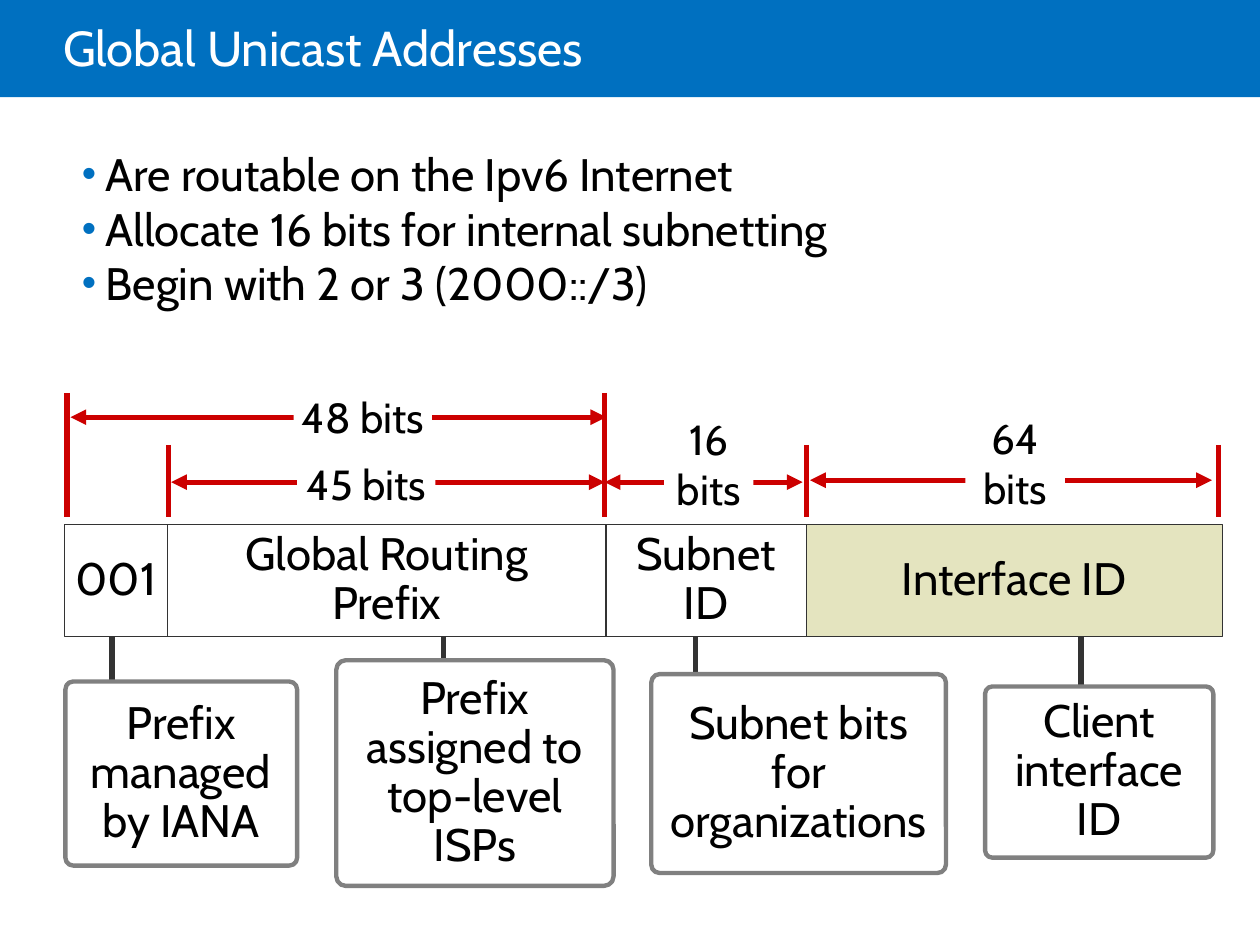
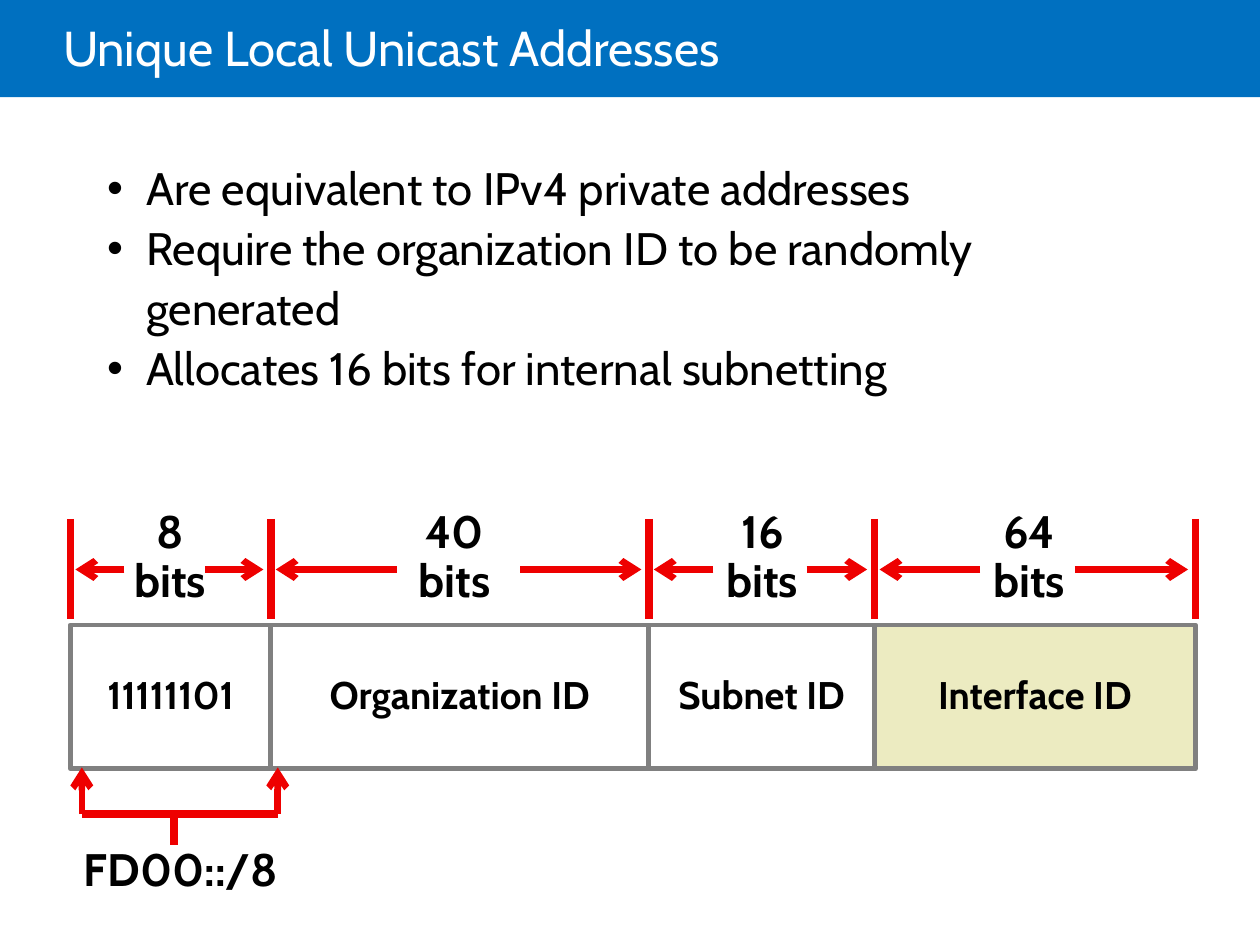
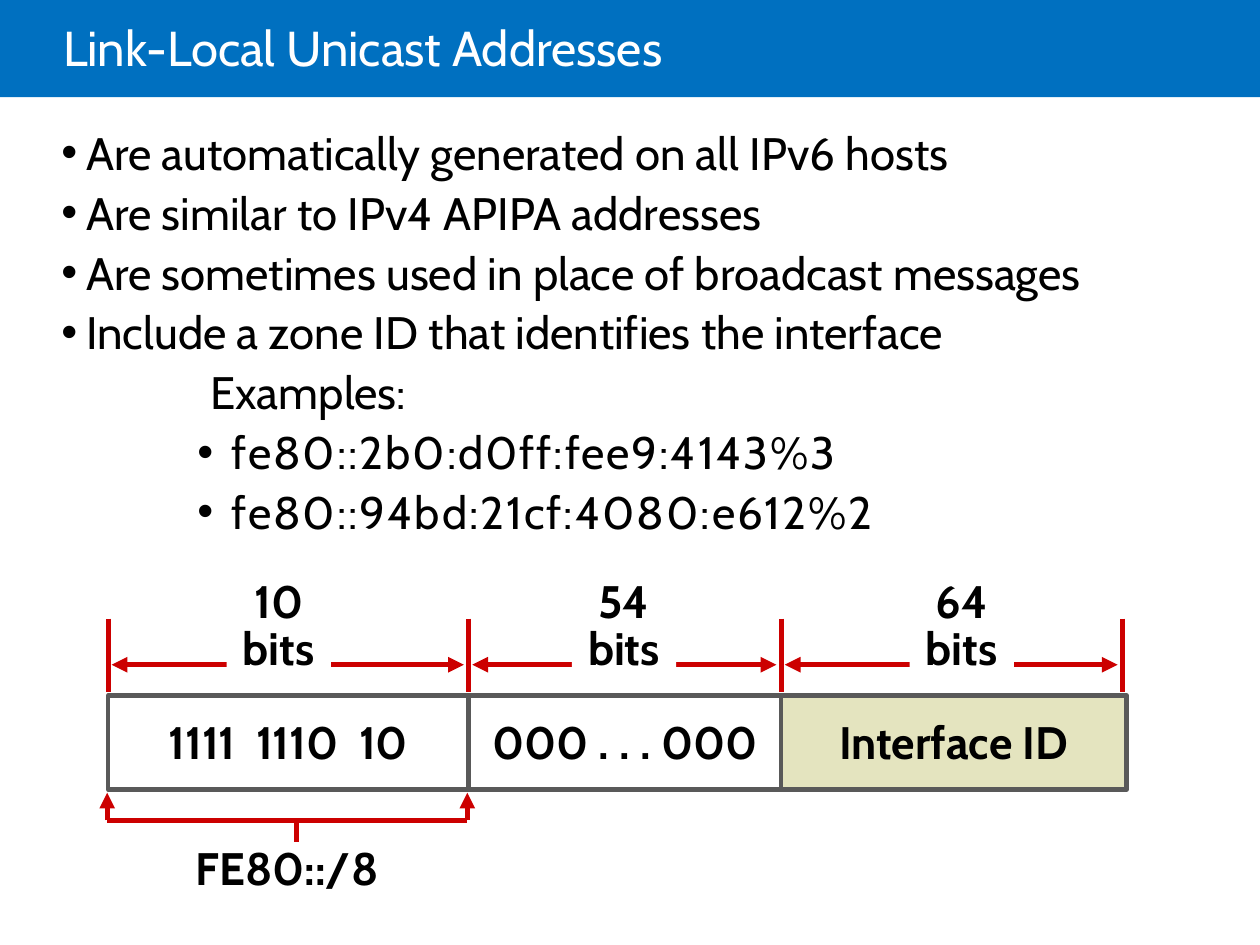
"""Build three slides on IPv6 unicast address formats."""
from collections import namedtuple
from itertools import pairwise

from lxml import etree
from pptx import Presentation, util as u
from pptx.dml.color import RGBColor
from pptx.enum import shapes, text
from pptx.oxml.ns import qn

Box = namedtuple("Box", "left top width height")
Pen = namedtuple("Pen", "colour weight arrow")
Measure = namedtuple("Measure", "start end level label words gap", defaults=[None])

FONT = "Cabin"
BLUE, BLACK, WHITE = "0070C0", "000000", "FFFFFF"
DARK, MID, FRAME = "333333", "808080", "595959"
OLIVE, CREAM = "E4E4BF", "ECEBC1"
RED_PEN = Pen("CC0000", 3, "triangle")
BRIGHT_TICK = Pen("EE0000", 4.25, None)
BRIGHT_PEN = Pen("EE0000", 3.75, "arrow")
LEADER_PEN = Pen(DARK, 3, None)
CENTRE, LEFT = text.PP_ALIGN.CENTER, text.PP_ALIGN.LEFT
TOP, MIDDLE = text.MSO_ANCHOR.TOP, text.MSO_ANCHOR.MIDDLE


def colour(value):
    """Turn a hex string into a colour."""
    return RGBColor.from_string(value)


def lengths(box):
    """Give the four sides of a box as lengths."""
    return [u.Cm(side) for side in box]


def inside(box, part):
    """Place a part given relative to the corner of a box."""
    return Box(box.left + part.left, box.top + part.top, part.width, part.height)


def add_bullet(para, tint, percent):
    """Give a paragraph a round bullet."""
    props = para._p.get_or_add_pPr()
    if tint:
        holder = etree.SubElement(props, qn("a:buClr"))
        etree.SubElement(holder, qn("a:srgbClr"), val=tint)
    etree.SubElement(props, qn("a:buSzPct"), val=str(percent * 1000))
    etree.SubElement(props, qn("a:buFont"), typeface="Arial")
    etree.SubElement(props, qn("a:buChar"), char="•")


def write_para(para, words, *, size=26, bold=False, tint=BLACK, align=CENTRE, spacing=1.0,
               before=0, margin=0, indent=0, bullet=False, bullet_tint=None,
               bullet_percent=100, tracking=0):
    """Write one formatted paragraph."""
    para.text = words
    if margin:
        props = para._p.get_or_add_pPr()
        props.set("marL", str(u.Cm(margin)))
        props.set("indent", str(u.Cm(indent)))
    if bullet:
        add_bullet(para, bullet_tint, bullet_percent)
    para.alignment, para.line_spacing = align, spacing
    para.space_before = u.Pt(before)
    for span in para.runs:
        span.font.name, span.font.size, span.font.bold = FONT, u.Pt(size), bold
        span.font.color.rgb = colour(tint)
        if tracking:
            span._r.get_or_add_rPr().set("spc", str(tracking))


def write(shape, lines, *, anchor=MIDDLE, inset=(0, 0, 0, 0), **style):
    """Fill a shape with paragraphs, each a string or a string with its own format."""
    frame = shape.text_frame
    frame.word_wrap, frame.vertical_anchor = True, anchor
    frame.auto_size = text.MSO_AUTO_SIZE.NONE
    (frame.margin_left, frame.margin_top,
     frame.margin_right, frame.margin_bottom) = lengths(inset)
    for number, line in enumerate([lines] if isinstance(lines, str) else lines):
        words, own = (line, {}) if isinstance(line, str) else line
        para = frame.add_paragraph() if number else frame.paragraphs[0]
        look = style | own
        if not number:
            look["before"] = 0
        write_para(para, words, **look)


def add_text(page, box, lines, **style):
    """Add a text box."""
    shape = page.shapes.add_textbox(*lengths(box))
    write(shape, lines, **style)


def add_panel(page, box, *, fill=None, edge=None, weight=1, radius=None):
    """Add a plain or rounded rectangle."""
    kind = shapes.MSO_SHAPE.RECTANGLE if radius is None else shapes.MSO_SHAPE.ROUNDED_RECTANGLE
    panel = page.shapes.add_shape(kind, *lengths(box))
    panel.shadow.inherit = False
    if radius is not None:
        panel.adjustments[0] = radius
    if fill:
        panel.fill.solid()
        panel.fill.fore_color.rgb = colour(fill)
    else:
        panel.fill.background()
    if edge:
        panel.line.color.rgb = colour(edge)
        panel.line.width = u.Pt(weight)
    else:
        panel.line.fill.background()
    return panel


def add_line(page, start, end, pen, heads=()):
    """Add a straight line with arrowheads at the named ends."""
    line = page.shapes.add_connector(shapes.MSO_CONNECTOR.STRAIGHT, *lengths(start + end))
    line.line.color.rgb = colour(pen.colour)
    line.line.width = u.Pt(pen.weight)
    etree.SubElement(line._element.spPr, qn("a:effectLst"))
    outline = line.line._get_or_add_ln()
    for end_name in heads:
        etree.SubElement(outline, qn(f"a:{end_name}"), type=pen.arrow)


def add_page(deck, title):
    """Add a slide with the blue band and its title."""
    page = deck.slides.add_slide(deck.slide_layouts[5])
    band = add_panel(page, Box(0, 0, 25.4, 1.96), fill=BLUE)
    page.shapes._spTree.insert(2, band._element)
    heading = page.shapes.title
    heading.left, heading.top, heading.width, heading.height = lengths(Box(1.27, 0, 21.59, 2.06))
    write(heading, title, size=28, tint=WHITE, align=LEFT, spacing=0.85,
          inset=(0, 0.13, 0.25, 0.13))
    return page


def draw_fields(page, box, edges, labels, *, fill, edge, weight, **style):
    """Draw adjoining address fields, the last one filled."""
    for (start, end), label in zip(pairwise(edges), labels):
        part = Box(start, 0, end - start, box.height)
        last = end == edges[-1]
        panel = add_panel(page, inside(box, part), fill=fill if last else None,
                          edge=edge, weight=weight)
        write(panel, label, spacing=0.9, **style)


def draw_ruler(page, box, ticks, measures, *, tick_pen, pen, tall=(), rise=0,
               mask=None, **style):
    """Draw ticks and labelled double arrows that measure the fields below."""
    for measure in measures:
        start, end = box.left + measure.start, box.left + measure.end
        level = box.top + measure.level
        if measure.gap:
            for near, far in zip(measure.gap, (start, end)):
                add_line(page, (box.left + near, level), (far, level), pen, ["tailEnd"])
        else:
            add_line(page, (start, level), (end, level), pen, ["headEnd", "tailEnd"])
    for tick in ticks:
        top = box.top - (rise if tick in tall else 0)
        add_line(page, (box.left + tick, top), (box.left + tick, box.top + box.height), tick_pen)
    for measure in measures:
        label = add_panel(page, inside(box, measure.label), fill=mask)
        write(label, measure.words, anchor=TOP, **style)


def draw_bracket(page, box, stem, drop, bar_pen, pen, label, words, **style):
    """Draw a bracket with two upward arrows, a stem and a label."""
    right, base = box.left + box.width, box.top + box.height
    add_line(page, (box.left, base), (right, base), bar_pen)
    for side in (box.left, right):
        add_line(page, (side, base), (side, box.top), pen, ["tailEnd"])
    add_line(page, (box.left + stem, base), (box.left + stem, base + drop), bar_pen)
    add_text(page, inside(box, label), words, bold=True, **style)


def draw_callout(page, box, leader, field_base, words):
    """Draw a rounded note and the leader that ties it to its field."""
    add_line(page, (box.left + leader, field_base), (box.left + leader, box.top), LEADER_PEN)
    note = add_panel(page, box, fill=WHITE, edge=MID, weight=2.5, radius=0.042)
    write(note, words, spacing=0.9, inset=(0.2, 0.1, 0.2, 0.1))


def build_global(deck):
    """Build the slide on global unicast addresses."""
    page = add_page(deck, "Global Unicast Addresses")
    add_text(page, Box(1.65, 2.95, 19.81, 4.62),
             ["Are routable on the Ipv6 Internet",
              "Allocate 16 bits for internal subnetting",
              "Begin with 2 or 3 (2000::/3)"],
             anchor=TOP, align=LEFT, margin=0.48, indent=-0.48, bullet=True,
             bullet_tint=BLUE, bullet_percent=90)
    callouts = [
        (Box(1.32, 13.74, 4.67, 3.71), 0.94, "Prefix managed\vby IANA"),
        (Box(6.78, 13.31, 5.59, 4.55), 2.16, "Prefix assigned to top-level ISPs"),
        (Box(13.13, 13.59, 5.94, 4.01), 0.89, "Subnet bits for organizations"),
        (Box(19.86, 13.84, 4.6, 3.45), 1.93, "Client\vinterface ID"),
    ]
    fields = Box(1.3, 10.57, 23.34, 2.26)
    for box, leader, words in callouts:
        draw_callout(page, box, leader, fields.top + fields.height, words)
    draw_fields(page, fields, [0, 2.08, 10.92, 14.96, 23.34],
                ["001", ["Global Routing", "Prefix"], ["Subnet", "ID"], "Interface ID"],
                fill=OLIVE, edge=DARK, weight=0.75)
    draw_ruler(page, Box(1.35, 8.97, 23.21, 1.45), [0, 2.05, 10.84, 14.91, 23.21],
               [Measure(0.07, 10.87, -0.56, Box(4.57, -1.07, 2.79, 1.02), "48 bits"),
                Measure(2.1, 10.84, 0.75, Box(4.64, 0.28, 2.79, 1.02), "45 bits"),
                Measure(10.84, 14.83, 0.75, Box(12.04, -0.64, 1.8, 2.06), "16 bits"),
                Measure(14.98, 23.08, 0.71, Box(18.11, -0.66, 2.01, 2.06), "64 bits")],
               tick_pen=RED_PEN, pen=RED_PEN, tall=(0, 10.84), rise=1.05, mask=WHITE,
               size=24, inset=(0.1, 0, 0.1, 0))


def build_local(deck):
    """Build the slide on unique local unicast addresses."""
    page = add_page(deck, "Unique Local Unicast Addresses")
    add_text(page, Box(2.16, 3.12, 21.51, 4.8),
             ["Are equivalent to IPv4 private addresses",
              "Require the organization ID to be randomly generated",
              "Allocates 16 bits for internal subnetting"],
             anchor=TOP, align=LEFT, spacing=1.1, margin=0.79, indent=-0.79, bullet=True,
             inset=(0, 0, 0.2, 0))
    edges = [0, 4.04, 11.66, 16.21, 22.68]
    draw_fields(page, Box(1.42, 12.6, 22.68, 2.9), edges,
                ["11111101", "Organization ID", "Subnet ID", "Interface ID"],
                fill=CREAM, edge=MID, weight=2.75, size=22, bold=True)
    labels = [(1.02, "8"), (6.76, "40"), (12.96, "16"), (18.34, "64")]
    gaps = [(1.09, 2.72), (6.58, 9.07), (12.96, 14.84), (18.34, 20.25)]
    measures = [Measure(start + 0.1, end - 0.15, 1.02, Box(left, -0.2, 1.98, 2),
                        [bits, "bits"], gap)
                for (start, end), (left, bits), gap in zip(pairwise(edges), labels, gaps)]
    draw_ruler(page, Box(1.42, 10.46, 22.68, 2.01), edges, measures,
               tick_pen=BRIGHT_TICK, pen=BRIGHT_PEN, bold=True, spacing=0.9)
    draw_bracket(page, Box(1.65, 15.47, 3.95, 0.94), 1.86, 0.63, BRIGHT_TICK, BRIGHT_PEN,
                 Box(-0.08, 1.6, 4.17, 0.99), "FD00::/8", anchor=TOP, spacing=0.9)


def build_link_local(deck):
    """Build the slide on link-local unicast addresses."""
    page = add_page(deck, "Link-Local Unicast Addresses")
    example = {"margin": 3.43, "indent": -0.69, "tracking": 110}
    add_text(page, Box(1.24, 2.52, 23.34, 8.53),
             ["Are automatically generated on all IPv6 hosts",
              "Are similar to IPv4 APIPA addresses",
              "Are sometimes used in place of broadcast messages",
              "Include a zone ID that identifies the interface",
              ("Examples:", {"margin": 3, "indent": 0, "bullet": False}),
              ("fe80::2b0:d0ff:fee9:4143%3", example),
              ("fe80::94bd:21cf:4080:e612%2", example)],
             anchor=TOP, align=LEFT, before=3, margin=0.5, indent=-0.5, bullet=True)
    edges = [0, 7.27, 13.57, 20.53]
    draw_fields(page, Box(2.18, 14.02, 20.53, 1.9), edges,
                ["1111  1110  10", "000 . . . 000", "Interface ID"],
                fill=OLIVE, edge=FRAME, weight=2.5, bold=True, inset=(0.1, 0.2, 0.1, 0.1))
    ticks = edges[:-1] + [20.45]
    labels = [(2.39, "10 bits"), (9.35, "54 bits"), (16.16, "64 bits")]
    measures = [Measure(start + 0.07, end - 0.1, 0.93, Box(left, -0.74, 2.1, 1.88), words)
                for (start, end), (left, words) in zip(pairwise(ticks), labels)]
    draw_ruler(page, Box(2.18, 12.47, 20.45, 1.47), ticks, measures,
               tick_pen=RED_PEN, pen=RED_PEN, mask=WHITE, bold=True, spacing=0.85)
    draw_bracket(page, Box(2.16, 15.98, 7.26, 0.56), 3.81, 0.43, RED_PEN, RED_PEN,
                 Box(1.6, 0.96, 4.06, 1.07), "FE80::/8")


def main():
    """Build and save the deck."""
    deck = Presentation()
    deck.slide_width, deck.slide_height = u.Cm(25.4), u.Cm(19.05)
    build_global(deck)
    build_local(deck)
    build_link_local(deck)
    deck.save("out.pptx")


if __name__ == "__main__":
    main()
